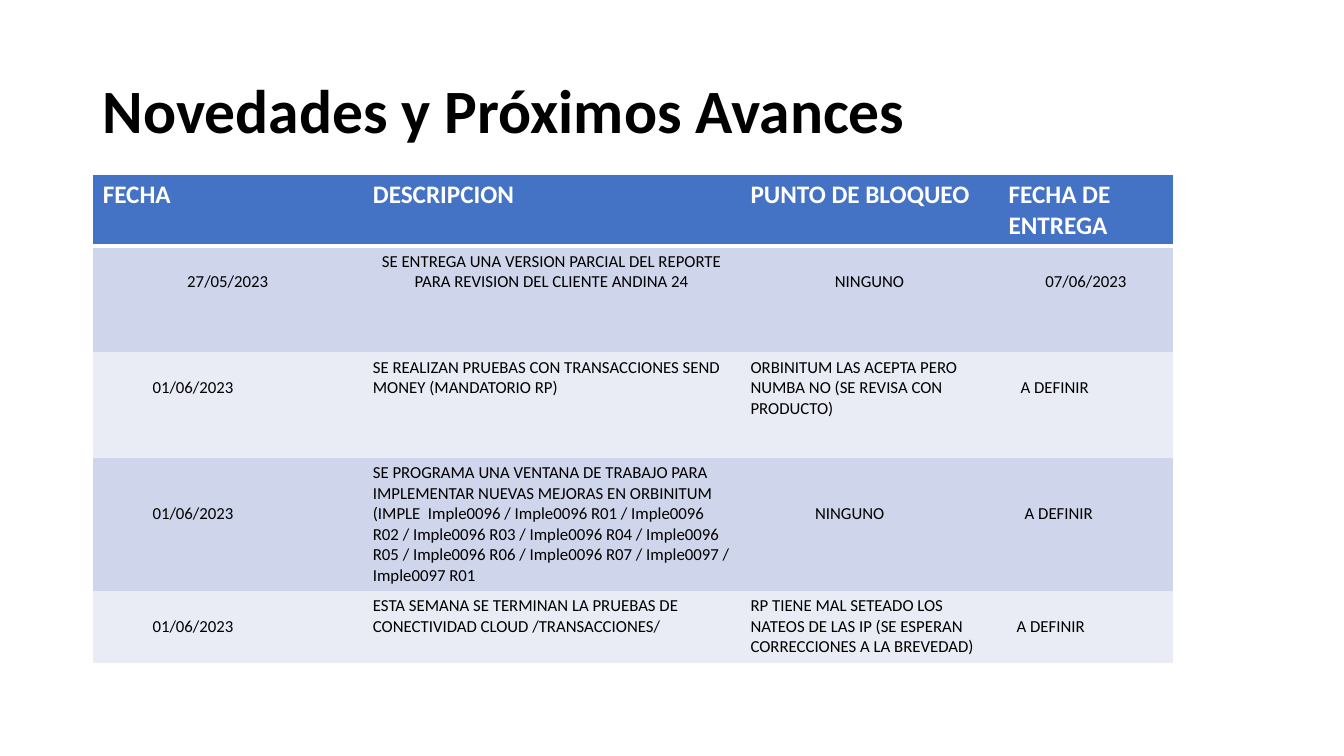
from dataclasses import dataclass

from lxml import etree
from pptx import Presentation
from pptx.dml.color import RGBColor
from pptx.enum.text import MSO_ANCHOR, PP_ALIGN
from pptx.oxml.ns import qn
from pptx.table import Table, _Cell
from pptx.text.text import TextFrame
from pptx.util import Inches, Pt

LEFT, CENTER = PP_ALIGN.LEFT, PP_ALIGN.CENTER
TOP, MIDDLE = MSO_ANCHOR.TOP, MSO_ANCHOR.MIDDLE
SLIDE_WIDTH, SLIDE_HEIGHT = Inches(13.33), Inches(7.5)
FONT = "Calibri"
BLACK, WHITE = "000000", "FFFFFF"
HEADER_FILL, BAND_FILLS = "4472C4", ("CFD5EA", "E9EBF5")
LEFT_EDGE, TABLE_TOP = 6.9, 23.1
COLUMN_SHARES = (20.1, 28.1, 19.2, 13)
ROW_SHARES = (9.4, 14, 14, 17.6, 9.4)
SIDE_MARGIN, TOP_MARGIN, LINE_HEIGHT = 0.75, 0.67, 2.71
HEADER_RULE = 3


@dataclass(frozen=True)
class Entry:
    text: str
    align: PP_ALIGN = LEFT
    lines_down: int = 0
    indent: float = 0


HEADERS = ("FECHA", "DESCRIPCION", "PUNTO DE BLOQUEO", "FECHA DE ENTREGA")
UPDATES = (
    (
        Entry("27/05/2023", CENTER, 1),
        Entry("SE ENTREGA UNA VERSION PARCIAL DEL REPORTE PARA REVISION DEL CLIENTE ANDINA 24", CENTER),
        Entry("NINGUNO", CENTER, 1),
        Entry("07/06/2023", CENTER, 1),
    ),
    (
        Entry("01/06/2023", LEFT, 1, 3.7),
        Entry("SE REALIZAN PRUEBAS CON TRANSACCIONES SEND MONEY (MANDATORIO RP)"),
        Entry("ORBINITUM LAS ACEPTA PERO\nNUMBA NO (SE REVISA CON PRODUCTO)"),
        Entry("A DEFINIR", LEFT, 1, 0.9),
    ),
    (
        Entry("01/06/2023", LEFT, 2, 3.7),
        Entry(
            "SE PROGRAMA UNA VENTANA DE TRABAJO PARA IMPLEMENTAR NUEVAS MEJORAS EN ORBINITUM "
            "(IMPLE  Imple0096 / Imple0096 R01 / Imple0096 R02 / Imple0096 R03 / Imple0096 R04 / "
            "Imple0096 R05 / Imple0096 R06 / Imple0096 R07 / Imple0097 / Imple0097 R01"
        ),
        Entry("NINGUNO", LEFT, 2, 4.8),
        Entry("A DEFINIR", LEFT, 2, 1.2),
    ),
    (
        Entry("01/06/2023", LEFT, 1, 3.7),
        Entry("ESTA SEMANA SE TERMINAN LA PRUEBAS DE CONECTIVIDAD CLOUD /TRANSACCIONES/"),
        Entry("RP TIENE MAL SETEADO LOS NATEOS DE LAS IP (SE ESPERAN CORRECCIONES A LA BREVEDAD)"),
        Entry("A DEFINIR", LEFT, 1, 0.6),
    ),
)


def across(percent: float) -> int:
    return round(SLIDE_WIDTH * percent / 100)


def down(percent: float) -> int:
    return round(SLIDE_HEIGHT * percent / 100)


def color(value: str) -> RGBColor:
    return RGBColor.from_string(value)


def write(frame: TextFrame, text: str, size: float, ink: str, bold: bool, align: PP_ALIGN) -> None:
    frame.text = text
    for paragraph in frame.paragraphs:
        paragraph.alignment = align
        for run in paragraph.runs:
            run.font.name = FONT
            run.font.size = Pt(size)
            run.font.bold = bold
            run.font.color.rgb = color(ink)


def set_borders(cell: _Cell, top: float, bottom: float) -> None:
    properties = cell._tc.get_or_add_tcPr()
    widths = {"a:lnL": 0, "a:lnR": 0, "a:lnT": top, "a:lnB": bottom}
    for position, (tag, width) in enumerate(widths.items()):
        border = etree.Element(qn(tag), w=str(Pt(width)))
        if width:
            paint = etree.SubElement(border, qn("a:solidFill"))
            etree.SubElement(paint, qn("a:srgbClr"), val=WHITE)
        else:
            etree.SubElement(border, qn("a:noFill"))
        properties.insert(position, border)


def fill_cell(cell: _Cell, entry: Entry, row: int) -> None:
    is_header = row == 0
    cell.fill.solid()
    cell.fill.fore_color.rgb = color(HEADER_FILL if is_header else BAND_FILLS[(row - 1) % 2])
    cell.vertical_anchor = TOP
    cell.margin_left = across(SIDE_MARGIN + entry.indent)
    cell.margin_right = across(SIDE_MARGIN)
    cell.margin_top = down(TOP_MARGIN + entry.lines_down * LINE_HEIGHT)
    cell.margin_bottom = down(TOP_MARGIN)
    write(cell.text_frame, entry.text, 18 if is_header else 12,
          WHITE if is_header else BLACK, is_header, entry.align)
    set_borders(cell, HEADER_RULE if row == 1 else 0, HEADER_RULE if is_header else 0)


def fill_table(table: Table) -> None:
    for column, share in zip(table.columns, COLUMN_SHARES):
        column.width = across(share)
    for row, share in zip(table.rows, ROW_SHARES):
        row.height = down(share)
    header_row = tuple(Entry(header) for header in HEADERS)
    for row_index, entries in enumerate((header_row, *UPDATES)):
        for column_index, entry in enumerate(entries):
            fill_cell(table.cell(row_index, column_index), entry, row_index)


def main() -> None:
    deck = Presentation()
    deck.slide_width, deck.slide_height = SLIDE_WIDTH, SLIDE_HEIGHT
    slide = deck.slides.add_slide(deck.slide_layouts[5])

    title = slide.shapes.title
    title.left, title.top = across(LEFT_EDGE), down(5.33)
    title.width, title.height = across(86.27), down(19.33)
    title.text_frame.vertical_anchor = MIDDLE
    write(title.text_frame, "Novedades y Próximos Avances", 44, BLACK, True, LEFT)
    title.text_frame.paragraphs[0].line_spacing = 0.9

    updates_frame = slide.shapes.add_table(
        len(ROW_SHARES), len(COLUMN_SHARES), across(LEFT_EDGE), down(TABLE_TOP),
        across(sum(COLUMN_SHARES)), down(sum(ROW_SHARES)))
    fill_table(updates_frame.table)
    deck.save("out.pptx")


if __name__ == "__main__":
    main()
